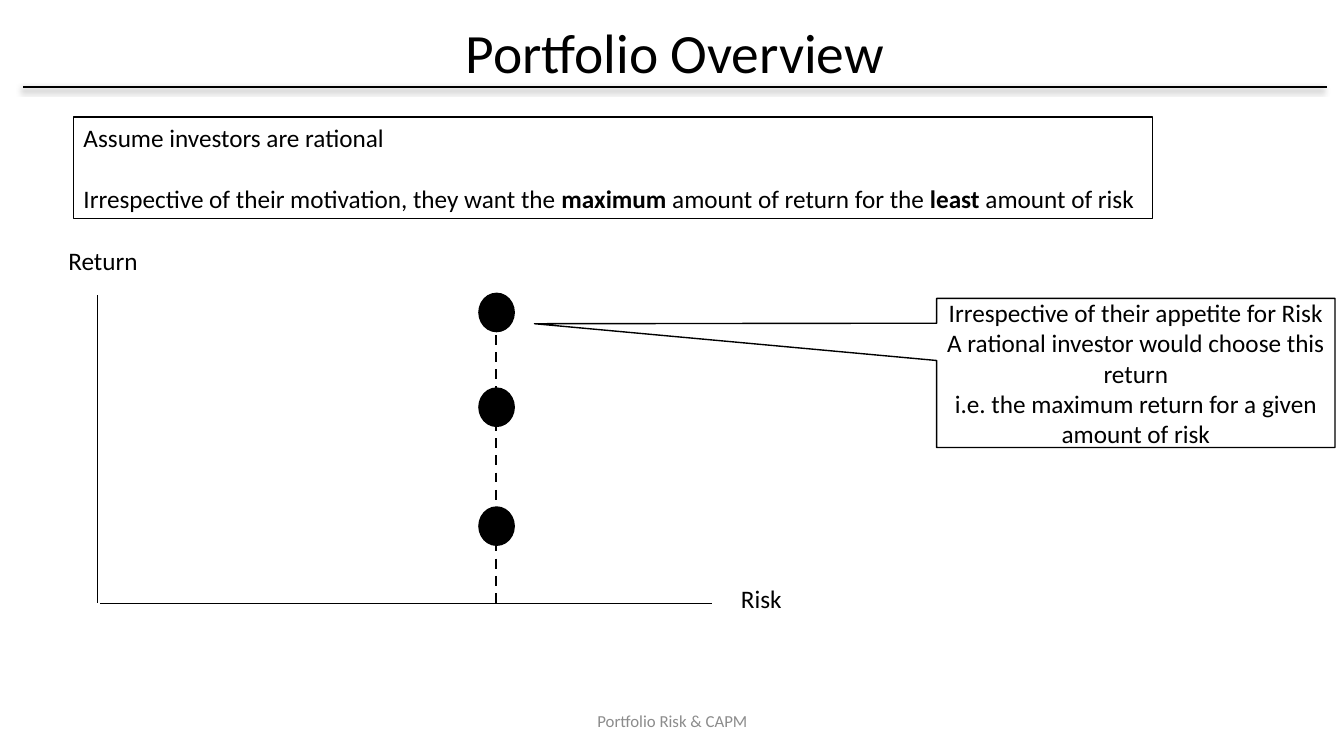
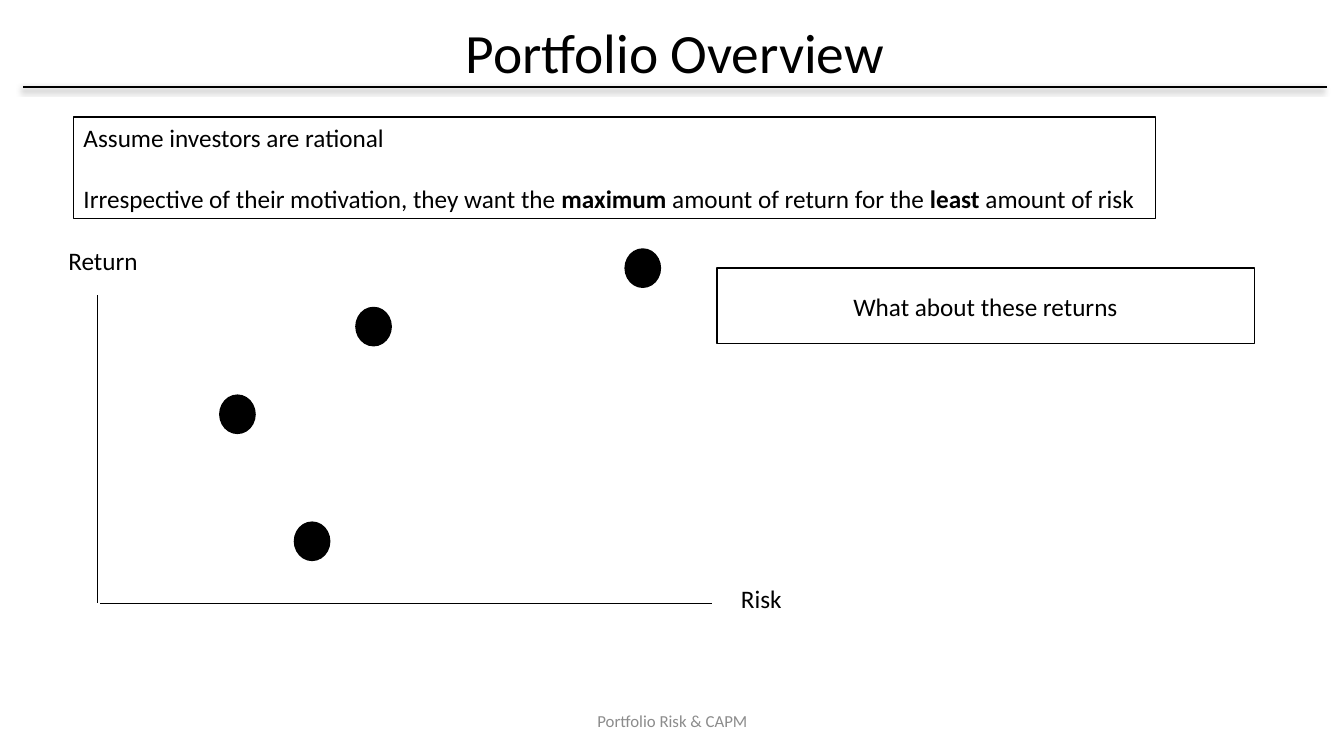
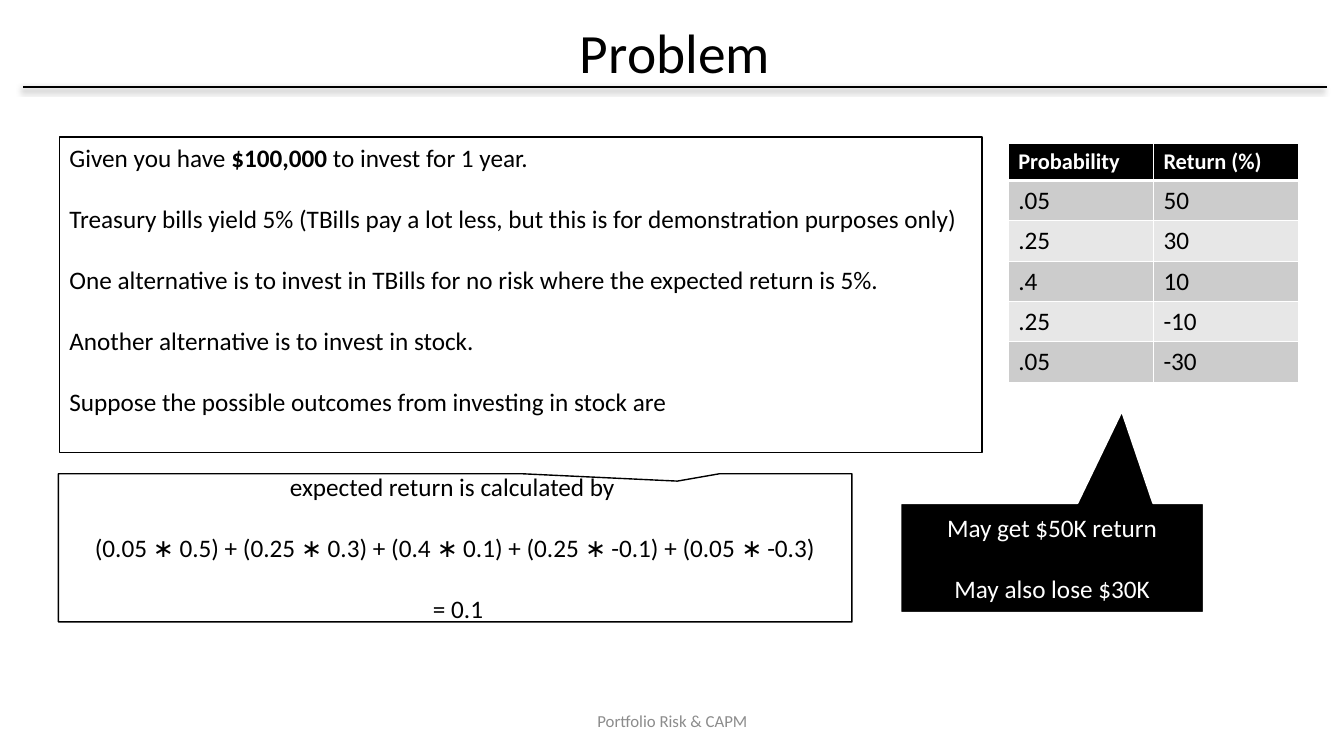
from dataclasses import dataclass
from typing import NamedTuple

from lxml.etree import SubElement
from pptx import Presentation
from pptx.dml.color import RGBColor
from pptx.enum.dml import MSO_LINE
from pptx.enum.shapes import MSO_CONNECTOR, MSO_SHAPE
from pptx.enum.text import MSO_ANCHOR as Anchor, PP_ALIGN as Align
from pptx.oxml.ns import qn
from pptx.util import Inches, Pt


@dataclass(frozen=True)
class Theme:
    font: str = "Calibri"
    black: str = "000000"
    white: str = "FFFFFF"
    footer_gray: str = "8C8C8C"
    band_dark: str = "CCCCCC"
    band_light: str = "E7E7E7"
    title_size: float = 39.6
    body_size: float = 18
    header_size: float = 16
    footer_size: float = 12
    blank_line: float = 22


THEME = Theme()


class Box(NamedTuple):
    left: float
    top: float
    width: float
    height: float


class Point(NamedTuple):
    x: float
    y: float


class Run(NamedTuple):
    text: str
    bold: bool = False


@dataclass(frozen=True)
class TextStyle:
    size: float = THEME.body_size
    color: str = THEME.black
    align: Align = Align.LEFT
    anchor: Anchor = Anchor.TOP
    gap: float = 0
    line_spacing: float = 1.0
    wrap: bool = True


@dataclass(frozen=True)
class Callout:
    box: Box
    tip: tuple[float, float]
    lines: list[str]
    gap: float = 0
    fill: str = THEME.white
    color: str = THEME.black
    line: str = THEME.black
    line_width: float = 1


# Shared content and positions
TITLE_BOX = Box(0.23, 0.24, 12.93, 0.63)
FOOTER_BOX = Box(4.42, 6.95, 4.5, 0.4)
TITLE_STYLE = TextStyle(THEME.title_size, align=Align.CENTER,
                        anchor=Anchor.MIDDLE, line_spacing=0.9)
FOOTER_STYLE = TextStyle(THEME.footer_size, THEME.footer_gray,
                         Align.CENTER, Anchor.MIDDLE)
LABEL_STYLE = TextStyle(wrap=False)
PANEL_STYLE = TextStyle(gap=THEME.blank_line)
DOT_WIDTH, DOT_HEIGHT = 0.35, 0.38

PREMISE = [
    [Run("Assume investors are rational")],
    [Run("Irrespective of their motivation, they want the "), Run("maximum", True),
     Run(" amount of return for the "), Run("least", True), Run(" amount of risk")],
]
PROBLEM = [
    [Run("Given you have "), Run("$100,000 ", True), Run("to invest for 1 year.")],
    [Run("Treasury bills yield 5% (TBills pay a lot less, but this is for "
         "demonstration purposes only)")],
    [Run("One alternative is to invest in TBills for no risk where the expected "
         "return is 5%.")],
    [Run("Another alternative is to invest in stock.")],
    [Run("Suppose the possible outcomes from investing in stock are")],
]
OUTCOMES = [("Probability", "Return (%)"), (".05", "50"), (".25", "30"),
            (".4", "10"), (".25", "-10"), (".05", "-30")]


def inches(box: Box) -> list[Inches]:
    return [Inches(value) for value in box]


def rgb(color: str) -> RGBColor:
    return RGBColor.from_string(color)


# Text
def write(frame, paragraphs: list[list[Run]], style: TextStyle) -> None:
    frame.word_wrap = style.wrap
    frame.vertical_anchor = style.anchor
    for index, runs in enumerate(paragraphs):
        paragraph = frame.add_paragraph() if index else frame.paragraphs[0]
        paragraph.alignment = style.align
        paragraph.line_spacing = style.line_spacing
        paragraph.space_before = Pt(style.gap if index else 0)
        paragraph.font.name = THEME.font
        paragraph.font.size = Pt(style.size)
        paragraph.font.color.rgb = rgb(style.color)
        for text, bold in runs:
            run = paragraph.add_run()
            run.text = text
            if bold:
                run.font.bold = True


def add_text(slide, box: Box, text: str, style: TextStyle) -> None:
    write(slide.shapes.add_textbox(*inches(box)).text_frame, [[Run(text)]], style)


# Shapes and lines
def add_shape(slide, kind: MSO_SHAPE, box: Box, fill: str,
              line: str = THEME.black, line_width: float = 1):
    shape = slide.shapes.add_shape(kind, *inches(box))
    shape.shadow.inherit = False
    shape.fill.solid()
    shape.fill.fore_color.rgb = rgb(fill)
    shape.line.color.rgb = rgb(line)
    shape.line.width = Pt(line_width)
    return shape


def add_panel(slide, box: Box, paragraphs: list[list[Run]]) -> None:
    shape = add_shape(slide, MSO_SHAPE.RECTANGLE, box, THEME.white)
    write(shape.text_frame, paragraphs, PANEL_STYLE)


def add_dot(slide, left: float, top: float) -> None:
    add_shape(slide, MSO_SHAPE.OVAL, Box(left, top, DOT_WIDTH, DOT_HEIGHT), THEME.black)


def add_callout(slide, callout: Callout) -> None:
    shape = add_shape(slide, MSO_SHAPE.RECTANGULAR_CALLOUT, callout.box,
                      callout.fill, callout.line, callout.line_width)
    shape.adjustments[0], shape.adjustments[1] = callout.tip
    style = TextStyle(color=callout.color, align=Align.CENTER,
                      anchor=Anchor.MIDDLE, gap=callout.gap)
    write(shape.text_frame, [[Run(line)] for line in callout.lines], style)


def add_line(slide, start: Point, end: Point, width: float,
             dashed: bool = False, shadow: bool = False) -> None:
    connector = slide.shapes.add_connector(
        MSO_CONNECTOR.STRAIGHT, *[Inches(value) for value in (*start, *end)])
    connector.line.color.rgb = rgb(THEME.black)
    connector.line.width = Pt(width)
    if dashed:
        connector.line.dash_style = MSO_LINE.DASH
    effects = SubElement(connector._element.spPr, qn("a:effectLst"))
    if shadow:
        outer = SubElement(effects, qn("a:outerShdw"), blurRad=str(Pt(4)),
                           dist=str(Pt(3)), dir=str(135 * 60000), rotWithShape="0")
        color = SubElement(outer, qn("a:srgbClr"), val=THEME.black)
        SubElement(color, qn("a:alpha"), val="40000")


# Table
def add_borders(cell, bottom_width: float) -> None:
    properties = cell._tc.get_or_add_tcPr()
    for side, width in (("L", 1), ("R", 1), ("T", 1), ("B", bottom_width)):
        border = SubElement(properties, qn(f"a:ln{side}"), w=str(Pt(width)))
        fill = SubElement(border, qn("a:solidFill"))
        SubElement(fill, qn("a:srgbClr"), val=THEME.white)


def add_outcome_table(slide) -> None:
    heights = [0.37] + [0.4] * (len(OUTCOMES) - 1)
    box = Box(10, 1.42, 2.88, sum(heights))
    table = slide.shapes.add_table(len(OUTCOMES), 2, *inches(box)).table
    header_style = TextStyle(THEME.header_size, THEME.white)
    for row, (values, height) in enumerate(zip(OUTCOMES, heights)):
        table.rows[row].height = Inches(height)
        header = row == 0
        band = THEME.band_dark if row % 2 else THEME.band_light
        for column, value in enumerate(values):
            cell = table.cell(row, column)
            add_borders(cell, 3 if header else 1)
            cell.fill.solid()
            cell.fill.fore_color.rgb = rgb(THEME.black if header else band)
            write(cell.text_frame, [[Run(value, header)]],
                  header_style if header else TextStyle())


# Parts shared by slides
def new_slide(presentation, title: str):
    slide = presentation.slides.add_slide(presentation.slide_layouts[6])
    add_text(slide, TITLE_BOX, title, TITLE_STYLE)
    add_line(slide, Point(0.23, 0.86), Point(13.16, 0.86), 1.5, shadow=True)
    add_text(slide, FOOTER_BOX, "Portfolio Risk & CAPM", FOOTER_STYLE)
    return slide


def new_overview(presentation, premise_width: float):
    slide = new_slide(presentation, "Portfolio Overview")
    add_panel(slide, Box(0.73, 1.16, premise_width, 1.01), PREMISE)
    add_line(slide, Point(0.97, 2.93), Point(0.97, 5.98), 0.5)
    add_line(slide, Point(0.99, 5.99), Point(7.06, 5.99), 0.5)
    add_text(slide, Box(0.58, 2.38, 0.9, 0.4), "Return", LABEL_STYLE)
    add_text(slide, Box(7.25, 5.74, 0.61, 0.4), "Risk", LABEL_STYLE)
    return slide


# Slides
def build_same_risk(presentation) -> None:
    slide = new_overview(presentation, 10.7)
    for top in (2.91, 3.85, 5.03):
        add_dot(slide, 4.75, top)
    add_line(slide, Point(4.92, 2.98), Point(4.92, 6.02), 1.75, dashed=True)
    add_callout(slide, Callout(Box(9.29, 2.96, 3.95, 1.48), (-1.51, -0.33), [
        "Irrespective of their appetite for Risk",
        "A rational investor would choose this return",
        "i.e. the maximum return for a given amount of risk"]))


def build_mixed_risk(presentation) -> None:
    slide = new_overview(presentation, 10.73)
    for left, top in ((2.18, 3.92), (2.92, 5.18), (6.2, 2.47), (3.53, 3.05)):
        add_dot(slide, left, top)
    add_callout(slide, Callout(Box(7.11, 2.66, 5.33, 0.75), (-0.5, 0.2),
                               ["What about these returns"]))


def build_problem(presentation) -> None:
    slide = new_slide(presentation, "Problem")
    add_panel(slide, Box(0.59, 1.36, 9.15, 3.13), PROBLEM)
    add_outcome_table(slide)
    add_callout(slide, Callout(Box(0.58, 4.7, 7.87, 1.47), (0.28, -0.45), [
        "expected return is calculated by ",
        "(0.05 ∗ 0.5) + (0.25 ∗ 0.3) + (0.4 ∗ 0.1) + (0.25 ∗ -0.1) + (0.05 ∗ -0.3)",
        " = 0.1"], THEME.blank_line))
    add_callout(slide, Callout(
        Box(8.93, 4.99, 3.01, 1.09), (0.23, -1.34),
        ["May get $50K return", "May also lose $30K"], THEME.blank_line,
        THEME.black, THEME.white, THEME.white, 1.5))


def main() -> None:
    presentation = Presentation()
    presentation.slide_width = Inches(13.33)
    presentation.slide_height = Inches(7.5)
    for build in (build_same_risk, build_mixed_risk, build_problem):
        build(presentation)
    presentation.save("out.pptx")


if __name__ == "__main__":
    main()
